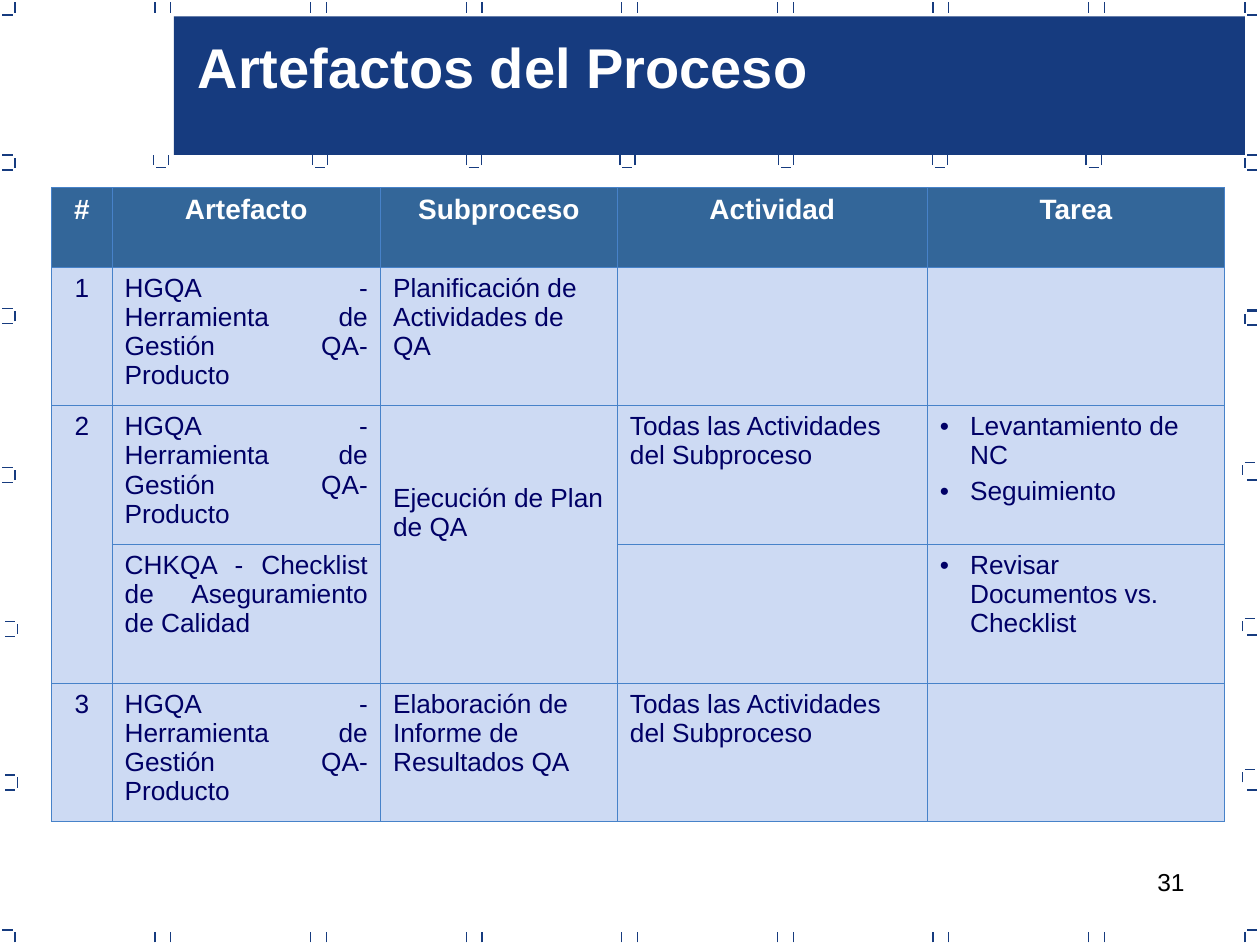
import dataclasses

import lxml.etree
import pptx
import pptx.dml.color
import pptx.enum.shapes
import pptx.enum.text
import pptx.oxml.ns
import pptx.util

Inches = pptx.util.Inches
Pt = pptx.util.Pt
Align = pptx.enum.text.PP_ALIGN
qn = pptx.oxml.ns.qn


@dataclasses.dataclass(frozen=True)
class Theme:
    font: str = "Arial"
    navy: str = "163B7F"
    head: str = "336699"
    body: str = "CDDAF3"
    edge: str = "4782C9"
    ink: str = "000066"
    white: str = "FFFFFF"
    black: str = "000000"
    title: int = 32
    label: int = 16
    text: int = 15
    page: int = 14
    tick: float = 0.75
    rule: float = 0.45


THEME = Theme()
TOOL = "HGQA - Herramienta de Gestión QA-Producto"
ALL = "Todas las Actividades del Subproceso"
HEADS = ["#", "Artefacto", "Subproceso", "Actividad", "Tarea"]
ROWS = [
    ["1", TOOL, "Planificación de Actividades de QA", "", ""],
    ["2", TOOL, "Ejecución de Plan de QA", ALL, "Levantamiento de NC\nSeguimiento"],
    ["", "CHKQA - Checklist de Aseguramiento de Calidad", "", "",
     "Revisar Documentos vs. Checklist"],
    ["3", TOOL, "Elaboración de Informe de Resultados QA", ALL, ""],
]
WIDTHS = [0.48, 2.13, 1.88, 2.46, 2.36]
ALIGNS = [Align.CENTER, Align.JUSTIFY, Align.LEFT, Align.LEFT, Align.LEFT]


def color(name):
    return pptx.dml.color.RGBColor.from_string(name)


def style(par, size, ink, bold=False, align=Align.LEFT):
    par.alignment = align
    font = par.font
    font.name = THEME.font
    font.size = Pt(size)
    font.bold = bold
    font.color.rgb = color(ink)


def add_text(slide, box, text, size, ink, bold=False, align=Align.LEFT):
    frame = slide.shapes.add_textbox(*map(Inches, box)).text_frame
    frame.word_wrap = True
    frame.text = text
    style(frame.paragraphs[0], size, ink, bold, align)


def add_line(slide, x1, y1, x2, y2):
    line = slide.shapes.add_connector(
        pptx.enum.shapes.MSO_CONNECTOR.STRAIGHT, *map(Inches, (x1, y1, x2, y2)))
    line.line.color.rgb = color(THEME.navy)
    line.line.width = Pt(THEME.tick)
    lxml.etree.SubElement(line._element.spPr, qn("a:effectLst"))


def add_post(slide, x, y):
    add_line(slide, x, y + 0.08, x, y)


def add_dash(slide, x, y):
    add_line(slide, x, y, x + 0.08, y)


def add_banner(slide):
    box = slide.shapes.add_shape(
        pptx.enum.shapes.MSO_SHAPE.RECTANGLE, *map(Inches, (1.38, 0.13, 8.5, 1.1)))
    box.shadow.inherit = False
    box.fill.solid()
    box.fill.fore_color.rgb = color(THEME.navy)
    box.line.fill.background()


def add_frame(slide):
    pairs = [1.23 + 1.235 * step + gap for step in range(7) for gap in (0, 0.125)]
    for x in [0.12, *pairs, 9.88]:
        for y in (0.02, 7.4):
            add_post(slide, x, y)
    for x in (0.02, 9.9):
        for y in (0.12, 7.38):
            add_dash(slide, x, y)
    for x in (1.22, 2.48, 3.7, 4.92, 6.18, 7.4, 8.62):
        add_post(slide, x, 1.23)
        add_post(slide, x + 0.12, 1.23)
        add_dash(slide, x + 0.02, 1.33)
    for x, y in ((0.12, 1.23), (0.12, 2.45), (0.12, 3.71), (0.14, 4.93), (0.14, 6.15)):
        add_post(slide, x, y + 0.02)
        add_dash(slide, x - 0.1, y)
        add_dash(slide, x - 0.1, y + 0.12)
    for x, y in ((9.88, 1.23), (9.88, 2.47), (9.86, 3.67), (9.86, 4.91), (9.86, 6.11)):
        add_post(slide, x, y + 0.02)
        add_dash(slide, x + 0.02, y)
    for y in (1.35, 2.46, 2.58, 3.81, 5.04, 6.27):
        add_dash(slide, 9.9, y)


def add_edges(cell):
    props = cell._tc.get_or_add_tcPr()
    for side in ("a:lnL", "a:lnR", "a:lnT", "a:lnB"):
        line = lxml.etree.SubElement(props, qn(side), w=str(Pt(THEME.rule)))
        fill = lxml.etree.SubElement(line, qn("a:solidFill"))
        lxml.etree.SubElement(fill, qn("a:srgbClr"), val=THEME.edge)


def add_bullet(par):
    props = par._p.get_or_add_pPr()
    props.set("marL", str(Inches(0.24)))
    props.set("indent", str(-Inches(0.24)))
    tint = lxml.etree.SubElement(props, qn("a:buClr"))
    lxml.etree.SubElement(tint, qn("a:srgbClr"), val=THEME.ink)
    lxml.etree.SubElement(props, qn("a:buFont"), typeface=THEME.font)
    lxml.etree.SubElement(props, qn("a:buChar"), char="•")


def fill_cell(cell, text, head, col):
    add_edges(cell)
    cell.fill.solid()
    cell.fill.fore_color.rgb = color(THEME.head if head else THEME.body)
    if not text:
        return
    cell.text = text
    for par in cell.text_frame.paragraphs:
        if head:
            style(par, THEME.label, THEME.white, True, Align.CENTER)
            par.space_before = Pt(4)
            continue
        if col == 4:
            add_bullet(par)
        style(par, THEME.text, THEME.ink, align=ALIGNS[col])
        par.space_before = Pt(7.1 if text == TOOL else 3.7)


def add_grid(slide):
    rows = [HEADS, *ROWS]
    table = slide.shapes.add_table(
        len(rows), len(HEADS), *map(Inches, (0.41, 1.49, sum(WIDTHS), 5.03))).table
    table.first_row = False
    table.horz_banding = False
    for col, width in zip(table.columns, WIDTHS):
        col.width = Inches(width)
    for num, texts in enumerate(rows):
        table.rows[num].height = Inches(1.1 if num else 0.63)
        for col, text in enumerate(texts):
            fill_cell(table.cell(num, col), text, num == 0, col)
    for col in (0, 2):
        table.cell(2, col).merge(table.cell(3, col))
    table.cell(2, 2).margin_top = Inches(0.62)


def main():
    deck = pptx.Presentation()
    deck.slide_width = Inches(10)
    deck.slide_height = Inches(7.5)
    slide = deck.slides.add_slide(deck.slide_layouts[6])
    add_text(slide, (7.17, 6.83, 2.33, 0.52), "31", THEME.page, THEME.black,
             align=Align.RIGHT)
    add_banner(slide)
    add_frame(slide)
    add_text(slide, (1.47, 0.21, 5.3, 0.64), "Artefactos del Proceso",
             THEME.title, THEME.white, bold=True)
    add_grid(slide)
    deck.save("out.pptx")


if __name__ == "__main__":
    main()
